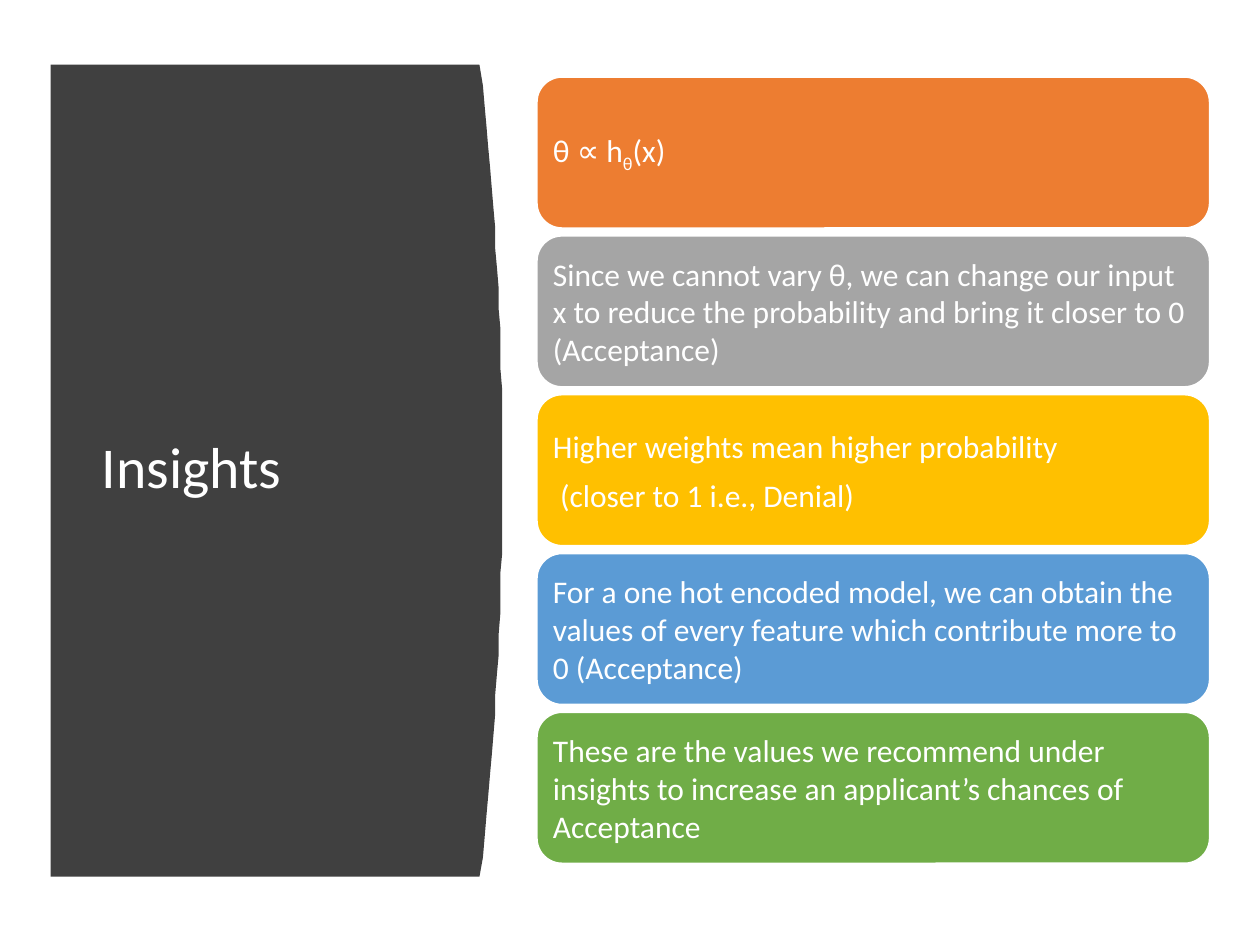
from pptx import Presentation
from pptx.dml.color import RGBColor
from pptx.enum.shapes import MSO_SHAPE as Shape
from pptx.enum.text import MSO_ANCHOR as Anchor, MSO_AUTO_SIZE as AutoSize, PP_ALIGN as Align
from pptx.util import Pt

COLORS = {
    "white": "FFFFFF",
    "charcoal": "404040",
    "orange": "ED7D31",
    "gray": "A5A5A5",
    "gold": "FFC000",
    "blue": "5B9BD5",
    "green": "70AD47",
}

INSIGHTS = [
    ("orange", [[("θ ∝ h", 0), ("θ", -25), ("(x)", 0)]]),
    ("gray", [[("Since we cannot vary θ, we can change our input x to reduce "
                "the probability and bring it closer to 0 (Acceptance)", 0)]]),
    ("gold", [[("Higher weights mean higher probability", 0)],
              [(" (closer to 1 i.e., Denial)", 0)]]),
    ("blue", [[("For a one hot encoded model, we can obtain the values of "
                "every feature which contribute more to 0 (Acceptance)", 0)]]),
    ("green", [[("These are the values we recommend under insights to "
                 "increase an applicant’s chances of Acceptance", 0)]]),
]


def color(name):
    return RGBColor.from_string(COLORS[name])


def add_span(para, text, font="Calibri", size=18, fill="white", baseline=0):
    span = para.add_run()
    span.text = text
    span.font.name = font
    span.font.size = Pt(size)
    span.font.color.rgb = color(fill)
    if baseline:
        span.font._element.set("baseline", str(baseline * 1000))


class SlideBuilder:
    title_size = 33
    body_size = 18
    inset = 5
    space_after = 6.3

    def __init__(self, slide):
        self.slide = slide

    def title(self, text, left, top, width, height):
        box = self.slide.shapes.title
        box.left, box.top, box.width, box.height = map(Pt, (left, top, width, height))
        frame = box.text_frame
        frame.word_wrap = True
        frame.auto_size = AutoSize.NONE
        frame.vertical_anchor = Anchor.MIDDLE
        para = frame.paragraphs[0]
        para.alignment = Align.LEFT
        para.line_spacing = 0.9
        add_span(para, text, size=self.title_size)

    def curved_panel(self, left, top, width, height, bulge, fill, steps=40):
        edge = left + width - bulge
        curve = []
        for step in range(steps + 1):
            offset = 2 * step / steps - 1
            curve.append((edge + bulge * (1 - offset ** 2), top + height * step / steps))
        outline = self.slide.shapes.build_freeform(left, top, scale=Pt(1))
        outline.add_line_segments(curve + [(left, top + height)], close=True)
        panel = outline.convert_to_shape()
        panel.shadow.inherit = False
        panel.fill.solid()
        panel.fill.fore_color.rgb = color(fill)
        panel.line.fill.background()
        self.slide.shapes.title._element.addprevious(panel._element)

    def card(self, paragraphs, left, top, width, height, fill):
        box = self.slide.shapes.add_shape(
            Shape.ROUNDED_RECTANGLE, *map(Pt, (left, top, width, height)))
        box.shadow.inherit = False
        box.fill.solid()
        box.fill.fore_color.rgb = color(fill)
        box.line.color.rgb = color("white")
        box.line.width = Pt(1)
        frame = box.text_frame
        frame.word_wrap = True
        frame.vertical_anchor = Anchor.MIDDLE
        frame.margin_left = frame.margin_right = Pt(self.inset)
        frame.margin_top = frame.margin_bottom = Pt(self.inset)
        for index, spans in enumerate(paragraphs):
            para = frame.add_paragraph() if index else frame.paragraphs[0]
            para.alignment = Align.LEFT
            para.space_after = Pt(self.space_after)
            for text, baseline in spans:
                add_span(para, text, size=self.body_size, baseline=baseline)


def main():
    deck = Presentation()
    deck.slide_width, deck.slide_height = Pt(720), Pt(540)
    page = SlideBuilder(deck.slides.add_slide(deck.slide_layouts[5]))
    page.curved_panel(28.8, 37.4, 258.5, 463.7, bulge=13, fill="charcoal")
    page.title("Insights", 51, 80, 201.6, 377)
    card_height, gap = 86.4, 4.35
    for row, (fill, paragraphs) in enumerate(INSIGHTS):
        top = 44 + row * (card_height + gap)
        page.card(paragraphs, 306.8, top, 384.5, card_height, fill)
    deck.save("out.pptx")


if __name__ == "__main__":
    main()
